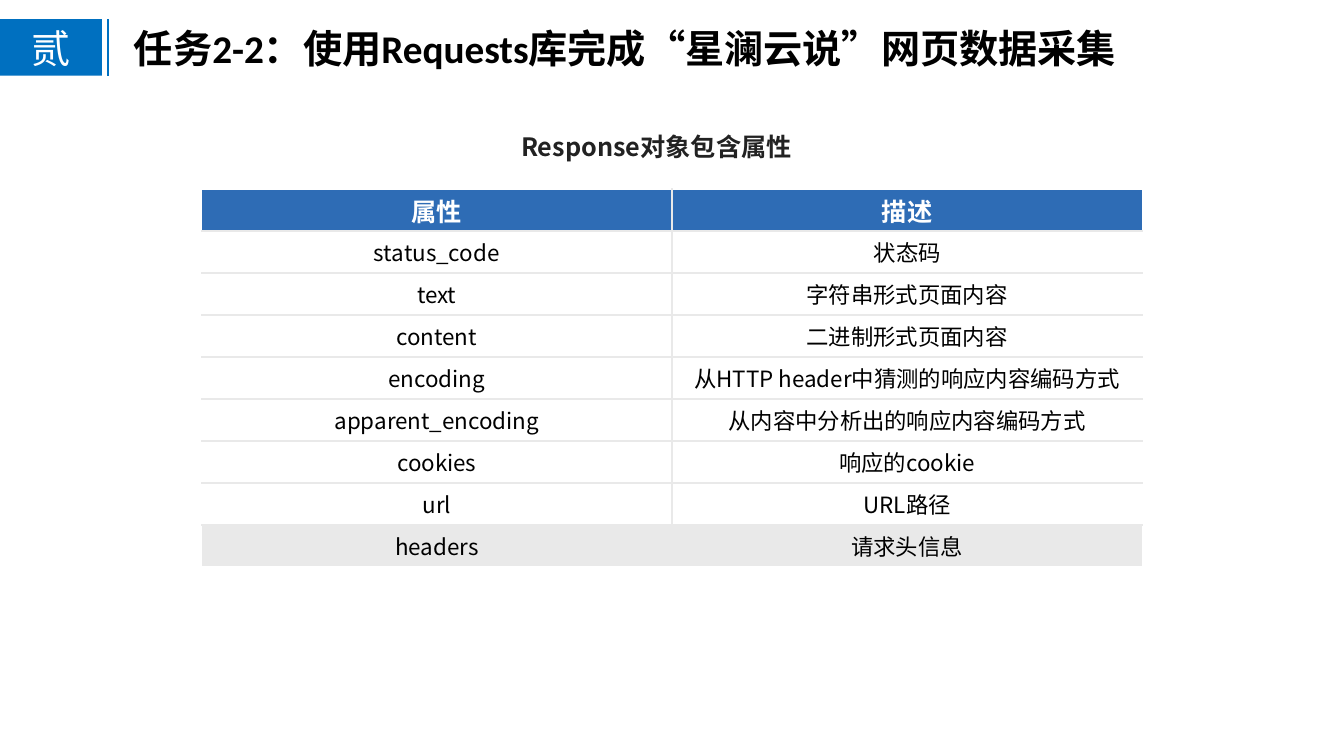
from dataclasses import dataclass

import lxml.etree
import pptx
import pptx.dml.color
import pptx.enum.shapes
import pptx.enum.text
import pptx.oxml.ns
import pptx.util

SECTION = "贰"
TITLE = "任务2-2：使用Requests库完成“星澜云说”网页数据采集"
CAPTION = "Response对象包含属性"
HEADER = ("属性", "描述")
ATTRIBUTES = [
    ("status_code", "状态码"),
    ("text", "字符串形式页面内容"),
    ("content", "二进制形式页面内容"),
    ("encoding", "从HTTP header中猜测的响应内容编码方式"),
    ("apparent_encoding", "从内容中分析出的响应内容编码方式"),
    ("cookies", "响应的cookie"),
    ("url", "URL路径"),
    ("headers", "请求头信息"),
]


@dataclass(frozen=True)
class Theme:
    title_font: str = "Calibri"
    body_font: str = "Noto Sans CJK SC"
    title_size: int = 28
    heading_size: int = 18
    cell_size: int = 16
    black: str = "000000"
    white: str = "FFFFFF"
    caption: str = "222222"
    accent: str = "0070C0"
    header_fill: str = "2E6CB5"
    grid: str = "E9E9E9"


THEME = Theme()
ALIGN = pptx.enum.text.PP_ALIGN
MIDDLE = pptx.enum.text.MSO_ANCHOR.MIDDLE
inches = pptx.util.Inches
qn = pptx.oxml.ns.qn

PAGE_WIDTH, PAGE_HEIGHT = 13.33, 7.5
BAND_TOP, BAND_HEIGHT = 0.19, 0.56
TABLE_WIDTH = PAGE_WIDTH * 0.7
TABLE_LEFT = PAGE_WIDTH * 0.15
TABLE_TOP = PAGE_HEIGHT / 4
ROW_HEIGHT = PAGE_HEIGHT / 18


def rgb(value):
    return pptx.dml.color.RGBColor.from_string(value)


def write(frame, text, size, color, font=THEME.body_font, bold=False, align=ALIGN.LEFT):
    para = frame.paragraphs[0]
    para.text = text
    para.alignment = align
    para.font.size = pptx.util.Pt(size)
    para.font.bold = bold
    para.font.color.rgb = rgb(color)
    para.font.name = font
    defaults = para._p.pPr.find(qn("a:defRPr"))
    lxml.etree.SubElement(defaults, qn("a:ea"), typeface=THEME.body_font)
    return para


def add_text(page, left, top, width, height, *content, **style):
    box = page.shapes.add_textbox(*map(inches, (left, top, width, height)))
    box.text_frame.word_wrap = True
    box.text_frame.auto_size = pptx.enum.text.MSO_AUTO_SIZE.SHAPE_TO_FIT_TEXT
    return write(box.text_frame, *content, **style)


def add_section_tag(page):
    tag = page.shapes.add_shape(
        pptx.enum.shapes.MSO_SHAPE.RECTANGLE,
        0, inches(BAND_TOP), inches(1.01), inches(BAND_HEIGHT))
    tag.shadow.inherit = False
    tag.fill.solid()
    tag.fill.fore_color.rgb = rgb(THEME.accent)
    tag.line.fill.background()
    frame = tag.text_frame
    frame.vertical_anchor = MIDDLE
    frame.margin_left = frame.margin_right = inches(0.03)
    frame.margin_top = frame.margin_bottom = inches(0.03)
    write(frame, SECTION, THEME.title_size, THEME.white, align=ALIGN.CENTER)

    rule = page.shapes.add_connector(
        pptx.enum.shapes.MSO_CONNECTOR.STRAIGHT,
        *map(inches, (1.07, BAND_TOP, 1.07, BAND_TOP + BAND_HEIGHT)))
    rule.line.color.rgb = rgb(THEME.accent)
    rule.line.width = pptx.util.Pt(1)
    lxml.etree.SubElement(rule._element.spPr, qn("a:effectLst"))


def add_border(cell, side):
    edge = lxml.etree.SubElement(
        cell._tc.get_or_add_tcPr(), qn(f"a:ln{side}"), w=str(pptx.util.Pt(1)))
    fill = lxml.etree.SubElement(edge, qn("a:solidFill"))
    lxml.etree.SubElement(fill, qn("a:srgbClr"), val=THEME.grid)


def add_attribute_table(page):
    rows = [HEADER, *ATTRIBUTES]
    last = len(rows) - 1
    table = page.shapes.add_table(
        len(rows), len(HEADER), inches(TABLE_LEFT), inches(TABLE_TOP),
        inches(TABLE_WIDTH), inches(ROW_HEIGHT * len(rows))).table
    for row, texts in enumerate(rows):
        is_header = row == 0
        fill = (THEME.header_fill if is_header
                else THEME.grid if row == last else THEME.white)
        for column, text in enumerate(texts):
            cell = table.cell(row, column)
            cell.vertical_anchor = MIDDLE
            cell.margin_left = cell.margin_right = inches(0.07)
            cell.margin_top = cell.margin_bottom = 0
            add_border(cell, "R" if column == 0 else "L")
            if row > 0:
                add_border(cell, "T")
            if row < last:
                add_border(cell, "B")
            cell.fill.solid()
            cell.fill.fore_color.rgb = rgb(fill)
            write(cell.text_frame, text,
                  THEME.heading_size if is_header else THEME.cell_size,
                  THEME.white if is_header else THEME.black,
                  bold=is_header, align=ALIGN.CENTER)


def main():
    deck = pptx.Presentation()
    deck.slide_width = inches(PAGE_WIDTH)
    deck.slide_height = inches(PAGE_HEIGHT)
    page = deck.slides.add_slide(deck.slide_layouts[6])
    add_text(page, 1.23, BAND_TOP, 10.72, 0.57, TITLE, THEME.title_size,
             THEME.black, font=THEME.title_font, bold=True)
    add_section_tag(page)
    caption = add_text(page, 5.07, 1.1, 3.05, 0.55, CAPTION, THEME.heading_size,
                       THEME.caption, bold=True, align=ALIGN.JUSTIFY)
    caption.line_spacing = 1.5
    add_attribute_table(page)
    deck.save("out.pptx")


if __name__ == "__main__":
    main()
